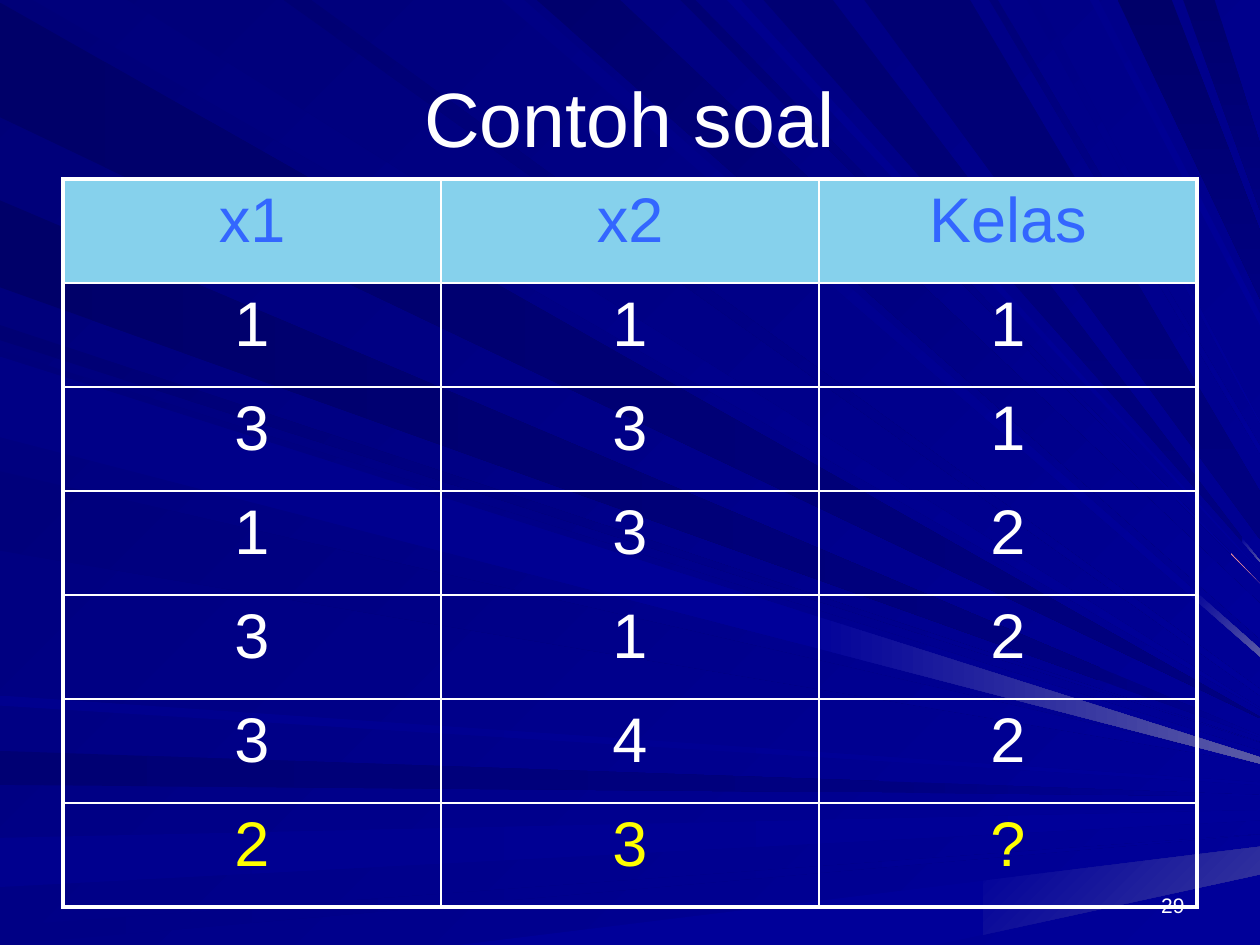
"""Build the "Contoh soal" slide: a table of samples over a fan of blue rays."""
import dataclasses
import typing

import lxml.etree
import pptx
import pptx.dml.color
import pptx.enum.text
import pptx.oxml.ns
import pptx.util

COLS, ROWS = 10, 7.5
UNIT = pptx.util.Inches(1)
FONT = "Arial"
FLAT, SLANT, STEEP = 0, 45, 90
COLORS = {
    "night": "000078", "blue": "000099", "navy": "000080",
    "ink1": "000069", "ink2": "00006D", "ink3": "000073",
    "ink4": "00007B", "ink5": "000085", "ink6": "00008E",
    "glow": "5A5AA6", "dusk": "39399E", "pink": "FF9999",
    "white": "FFFFFF", "yellow": "FFFF00", "sky": "86D1EC", "azure": "3366FF",
}
Point = tuple[float, float]


@dataclasses.dataclass
class Tail:
    """Last part of a ray, from a column to the right edge."""
    column: float
    start: str
    end: str


@dataclasses.dataclass
class Ray:
    """Wedge from a span on one slide edge to a span on the right edge."""
    edge: str
    near: tuple[float, float]
    far: tuple[float, float]
    start: str
    end: str = "blue"
    angle: int = SLANT
    tail: typing.Optional[Tail] = None


@dataclasses.dataclass
class Label:
    """Text in a box given in grid columns and rows."""
    text: str
    box: tuple[float, float, float, float]
    size: int
    align: str
    anchor: str


RAYS = [
    Ray("left", (0.02, 0.93), (5.69, 5.7), "ink1", "navy", FLAT),
    Ray("top", (1.01, 0.26), (5.62, 5.63), "ink4"),
    Ray("left", (5.96, 6.23), (6.31, 6.32), "ink3", "navy", FLAT, Tail(7, "navy", "blue")),
    Ray("left", (6.65, 7.04), (6.43, 6.51), "ink6", angle=FLAT),
    Ray("left", (7.35, 7.55), (6.62, 6.62), "ink5", angle=FLAT),
    Ray("bottom", (3.64, 7.42), (6.72, 6.94), "blue", tail=Tail(7.8, "blue", "dusk")),
    Ray("left", (2.58, 2.7), (5.89, 5.89), "ink3"),
    Ray("left", (1.59, 2.28), (5.84, 5.85), "ink1", "navy", FLAT, Tail(8.73, "navy", "blue")),
    Ray("top", (4.16, 3.98), (5.15, 5.21), "ink5", tail=Tail(9.45, "blue", "glow")),
    Ray("top", (4.92, 4.26), (4.79, 5.07), "ink2"),
    Ray("top", (5.52, 5.4), (4.63, 4.63), "ink3", tail=Tail(9.77, "pink", "pink")),
    Ray("top", (6.61, 6.06), (4.45, 4.46), "ink3", "navy", STEEP, Tail(9.86, "blue", "glow")),
    Ray("top", (9.3, 8.87), (1.83, 2.37), "ink1", "navy", STEEP),
    Ray("top", (9.64, 9.39), (1.14, 1.67), "ink2", "navy", STEEP),
    Ray("left", (2.78, 3.42), (5.96, 6.02), "ink4"),
    Ray("left", (3.74, 4.37), (6.05, 6.06), "ink4"),
    Ray("left", (5.52, 5.6), (6.21, 6.23), "ink6", angle=FLAT),
    Ray("top", (2.47, 2.25), (5.47, 5.52), "ink3"),
    Ray("top", (5.88, 5.77), (4.53, 4.54), "ink6"),
    Ray("top", (7.7, 6.86), (3.9, 4.28), "ink3", "navy", STEEP),
    Ray("top", (7.92, 7.85), (3.54, 3.6), "night"),
    Ray("top", (8.24, 8.15), (3.35, 3.36), "ink5"),
    Ray("top", (8.72, 8.65), (2.49, 2.58), "ink6"),
    Ray("left", (2.83, 3.47), (6.01, 6.06), "ink5", "blue", FLAT, Tail(6.35, "blue", "glow")),
]
LABELS = [
    Label("29", (7.17, 6.83, 2.33, 0.5), 12, "RIGHT", "BOTTOM"),
    Label("Contoh soal", (0.5, 0.3, 9, 1.25), 44, "CENTER", "MIDDLE"),
]
TABLE_BOX = (0.5, 1.42, 9, 5.78)
SAMPLES = ["x1 x2 Kelas", "1 1 1", "3 3 1", "1 3 2", "3 1 2", "3 4 2", "2 3 ?"]


def rgb(name: str) -> pptx.dml.color.RGBColor:
    return pptx.dml.color.RGBColor.from_string(COLORS[name])


def place(box: tuple[float, ...]) -> list[int]:
    return [round(v * UNIT) for v in box]


def paint(fill: typing.Any, start: str, end: str, angle: int) -> None:
    if start == end:
        fill.solid()
        fill.fore_color.rgb = rgb(start)
        return
    fill.gradient()
    fill.gradient_angle = (360 - angle) % 360
    for stop, name, position in zip(fill.gradient_stops, (start, end), (0, 1)):
        stop.color.rgb = rgb(name)
        stop.position = position


def write(tf: typing.Any, text: str, size: int, color: str, align: str) -> None:
    p = tf.paragraphs[0]
    p.alignment = pptx.enum.text.PP_ALIGN[align]
    r = p.add_run()
    r.text = text
    for name, value in {"name": FONT, "size": pptx.util.Pt(size)}.items():
        setattr(r.font, name, value)
    r.font.color.rgb = rgb(color)


def draw_wedge(s: typing.Any, points: list[Point], start: str, end: str, angle: int) -> None:
    cells = [(round(x * 100), round(y * 100)) for x, y in points]
    builder = s.shapes.build_freeform(*cells[0], scale=UNIT / 100)
    builder.add_line_segments(cells[1:], close=True)
    sp = builder.convert_to_shape()
    sp.shadow.inherit = False
    sp.line.fill.background()
    paint(sp.fill, start, end, angle)


def edge_point(edge: str, v: float) -> Point:
    if edge == "left":
        return 0, min(v, ROWS)
    return v, 0 if edge == "top" else ROWS


def cut(a: Point, b: Point, x: float) -> Point:
    return x, a[1] + (b[1] - a[1]) * (x - a[0]) / (b[0] - a[0])


def draw_ray(s: typing.Any, ray: Ray) -> None:
    near = [edge_point(ray.edge, v) for v in ray.near]
    far = [(COLS, v) for v in ray.far]
    middle = far
    if ray.tail:
        middle = [cut(a, b, ray.tail.column) for a, b in zip(near, far)]
        draw_wedge(s, middle + far[::-1], ray.tail.start, ray.tail.end, ray.angle)
    draw_wedge(s, near + middle[::-1], ray.start, ray.end, ray.angle)


def draw_label(s: typing.Any, label: Label) -> None:
    tf = s.shapes.add_textbox(*place(label.box)).text_frame
    anchor = pptx.enum.text.MSO_ANCHOR[label.anchor]
    for name, value in {"word_wrap": True, "vertical_anchor": anchor}.items():
        setattr(tf, name, value)
    write(tf, label.text, label.size, "white", label.align)


def border(cell: typing.Any, side: str, width: float) -> None:
    qn = pptx.oxml.ns.qn
    ln = lxml.etree.SubElement(cell._tc.get_or_add_tcPr(), qn(f"a:ln{side}"), w=str(pptx.util.Pt(width)))
    fill = lxml.etree.SubElement(ln, qn("a:solidFill"))
    lxml.etree.SubElement(fill, qn("a:srgbClr"), val=COLORS["white"])


def draw_table(s: typing.Any, rows: list[list[str]]) -> None:
    last_row, last_col = len(rows) - 1, len(rows[0]) - 1
    table = s.shapes.add_table(last_row + 1, last_col + 1, *place(TABLE_BOX)).table
    for name in ("first_row", "horz_banding"):
        setattr(table, name, False)
    text_colors = {0: "azure", last_row: "yellow"}
    for i, row in enumerate(rows):
        for j, text in enumerate(row):
            cell = table.cell(i, j)
            edges = {"L": j == 0, "R": j == last_col, "T": i == 0, "B": i == last_row}
            for side, outer in edges.items():
                border(cell, side, 2.25 if outer else 1)
            if i == 0:
                paint(cell.fill, "sky", "sky", FLAT)
            else:
                cell.fill.background()
            write(cell.text_frame, text, 36, text_colors.get(i, "white"), "CENTER")


def main() -> None:
    prs = pptx.Presentation()
    prs.slide_width, prs.slide_height = place((COLS, ROWS))
    s = prs.slides.add_slide(prs.slide_layouts[6])
    paint(s.background.fill, "night", "blue", SLANT)
    for ray in RAYS:
        draw_ray(s, ray)
    for label in LABELS:
        draw_label(s, label)
    draw_table(s, [row.split() for row in SAMPLES])
    prs.save("out.pptx")


if __name__ == "__main__":
    main()
